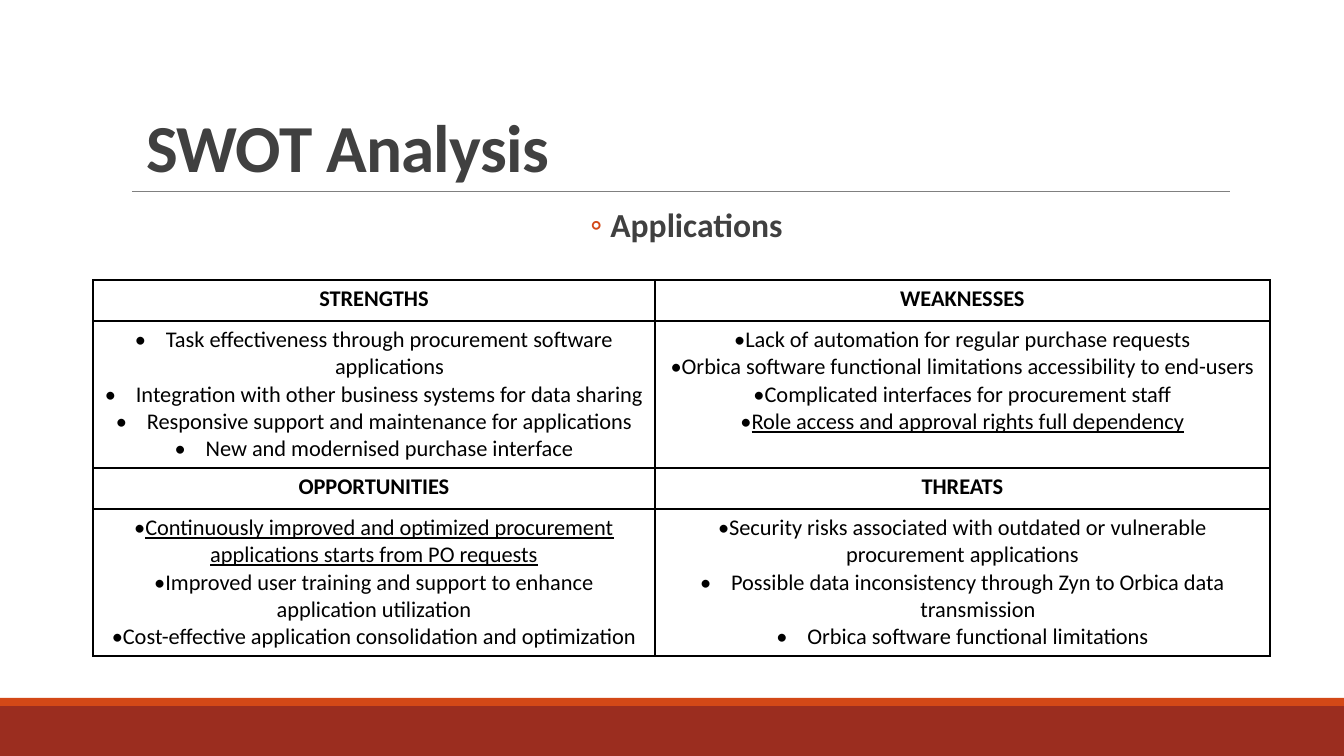
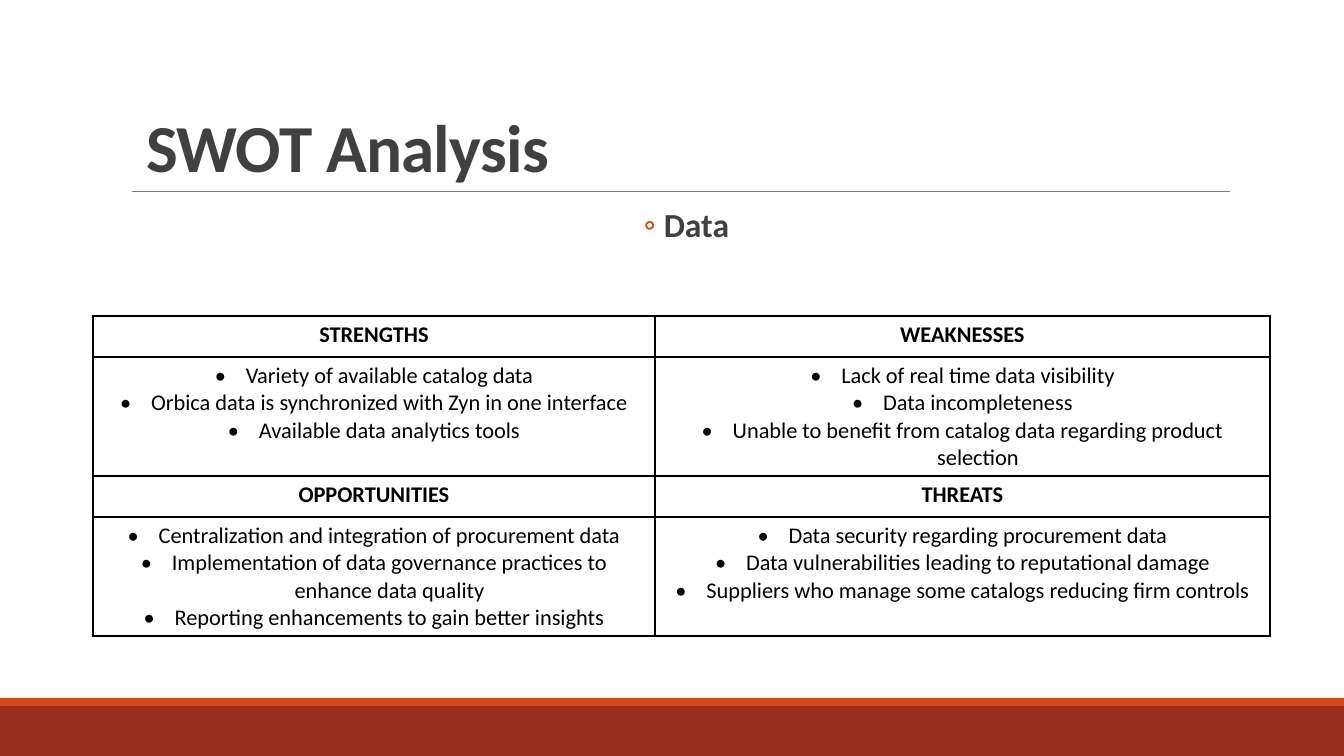
from lxml import etree
from pptx import Presentation
from pptx import util as u
from pptx.dml.color import RGBColor
from pptx.enum import shapes, text
from pptx.oxml.ns import qn

SCALE = 914400 / 100.8
FONT = "Calibri"
HEX = {
    "band": "9B2D1F",
    "strip": "D34817",
    "rule": "808080",
    "head": "404040",
    "ink": "000000",
}
WIDE, HIGH = 1344, 756
COLS = (562, 615)
HEAD_ROW = 41
HANG = 31
NAMES = (("STRENGTHS", "WEAKNESSES"), ("OPPORTUNITIES", "THREATS"))


def px(n):
    return u.Emu(round(n * SCALE))


def rgb(key):
    return RGBColor.from_string(HEX[key])


def hang(words):
    """Bullet point with a hanging indent."""
    return dict(words=words, left=HANG, first=-HANG)


def flat(words, under=None):
    """Bullet point whose bullet touches the text."""
    return dict(words=words, under=under)


# For each slide: subtitle, table top, list row height, 2 x 2 lists
DECK = (
    ("Applications", 280, 147, (
        ((hang("Task effectiveness through procurement software applications"),
          hang("Integration with other business systems for data sharing"),
          hang("Responsive support and maintenance for applications"),
          hang("New and modernised purchase interface")),
         (flat("Lack of automation for regular purchase requests"),
          flat("Orbica software functional limitations accessibility to end-users"),
          flat("Complicated interfaces for procurement staff"),
          flat("Role access and approval rights full dependency", under=True))),
        ((flat("Continuously improved and optimized procurement applications "
               "starts from PO requests", under=True),
          flat("Improved user training and support to enhance application utilization"),
          flat("Cost-effective application consolidation and optimization")),
         (flat("Security risks associated with outdated or vulnerable "
               "procurement applications"),
          hang("Possible data inconsistency through Zyn to Orbica data transmission"),
          hang("Orbica software functional limitations"))),
    )),
    ("Data", 316, 119, (
        ((hang("Variety of available catalog data"),
          hang("Orbica data is synchronized with Zyn in one interface"),
          hang("Available data analytics tools")),
         (hang("Lack of real time data visibility"),
          hang("Data incompleteness"),
          hang("Unable to benefit from catalog data regarding product selection"))),
        ((hang("Centralization and integration of procurement data"),
          hang("Implementation of data governance practices to enhance data quality"),
          hang("Reporting enhancements to gain better insights")),
         (hang("Data security regarding procurement data"),
          hang("Data vulnerabilities leading to reputational damage"),
          hang("Suppliers who manage some catalogs reducing firm controls"))),
    )),
)


def put(par, words, size=16, color="ink", bold=False, under=None, align="CENTER",
        lead=None, track=None, mark=None, tint="ink", left=0, first=0):
    """Fill a paragraph with one run; mark is its bullet, track its letter spacing."""
    par.alignment = getattr(text.PP_ALIGN, align)
    if lead:
        par.line_spacing = lead
    if mark:
        props = par._p.get_or_add_pPr()
        props.set("marL", str(px(left)))
        props.set("indent", str(px(first)))
        shade = etree.SubElement(props, qn("a:buClr"))
        etree.SubElement(shade, qn("a:srgbClr"), val=HEX[tint])
        etree.SubElement(props, qn("a:buFont"), typeface=FONT)
        etree.SubElement(props, qn("a:buChar"), char=mark)
    run = par.add_run()
    run.text = words
    font = run.font
    font.name, font.size, font.bold = FONT, u.Pt(size), bold
    font.underline = under
    font.color.rgb = rgb(color)
    if track:
        run._r.get_or_add_rPr().set("spc", str(track))


def bar(slide, top, high, color):
    box = slide.shapes.add_shape(shapes.MSO_SHAPE.RECTANGLE,
                                 0, px(top), px(WIDE), px(high))
    box.shadow.inherit = False
    box.fill.solid()
    box.fill.fore_color.rgb = rgb(color)
    box.line.fill.background()
    return box


def rule(slide, x1, x2, y):
    line = slide.shapes.add_connector(shapes.MSO_CONNECTOR.STRAIGHT,
                                      px(x1), px(y), px(x2), px(y))
    line.line.color.rgb = rgb("rule")
    line.line.width = u.Pt(0.5)
    etree.SubElement(line.element.spPr, qn("a:effectLst"))
    return line


def frame(slide, layout):
    """Draw the bands and rule, then move them to the layout all slides share."""
    for part in (bar(slide, 706, 50, "band"), bar(slide, 698, 8, "strip"),
                 rule(slide, 132, 1230, 191)):
        layout.shapes.element.append(part.element)


def title(slide, words):
    box = slide.shapes.title
    box.left, box.top, box.width, box.height = map(px, (121, 31, 1109, 160))
    body = box.text_frame
    body.word_wrap = True
    body.auto_size = text.MSO_AUTO_SIZE.NONE
    body.vertical_anchor = text.MSO_ANCHOR.BOTTOM
    body.margin_left = px(25)
    put(body.paragraphs[0], words, size=48, color="head", bold=True,
        align="LEFT", lead=0.85, track=-50)


def topic(slide, words):
    box = slide.shapes.add_textbox(*map(px, (121, 204, 1109, 50)))
    box.text_frame.word_wrap = True
    put(box.text_frame.paragraphs[0], words, size=24, color="head", bold=True,
        lead=0.9, mark="◦", tint="strip", left=42, first=-20)


def edge(cell):
    """Clear the cell's fill and give it thin black borders."""
    cell.fill.background()
    props = cell._tc.get_or_add_tcPr()
    for spot, side in enumerate("LRTB"):
        line = etree.Element(qn("a:ln" + side), w=str(u.Pt(1)))
        fill = etree.SubElement(line, qn("a:solidFill"))
        etree.SubElement(fill, qn("a:srgbClr"), val=HEX["ink"])
        props.insert(spot, line)


def swot(slide, top, high, lists):
    rows = (HEAD_ROW, high) * 2
    table = slide.shapes.add_table(4, 2, px(93), px(top),
                                   px(sum(COLS)), px(sum(rows))).table
    table.first_row = table.horz_banding = False
    for col, wide in zip(table.columns, COLS):
        col.width = px(wide)
    for row, tall in zip(table.rows, rows):
        row.height = px(tall)
    for cell in table.iter_cells():
        edge(cell)
    for r, pair in enumerate(lists):
        for c, points in enumerate(pair):
            head = table.cell(2 * r, c).text_frame
            put(head.paragraphs[0], NAMES[r][c], bold=True)
            body = table.cell(2 * r + 1, c).text_frame
            for i, point in enumerate(points):
                par = body.add_paragraph() if i else body.paragraphs[0]
                put(par, mark="•", **point)


def main():
    deck = Presentation()
    deck.slide_width, deck.slide_height = px(WIDE), px(HIGH)
    layout = deck.slide_layouts.get_by_name("Title Only")
    for i, (name, top, high, lists) in enumerate(DECK):
        slide = deck.slides.add_slide(layout)
        if i == 0:
            frame(slide, layout)
        title(slide, "SWOT Analysis")
        topic(slide, name)
        swot(slide, top, high, lists)
    deck.save("out.pptx")


if __name__ == "__main__":
    main()
